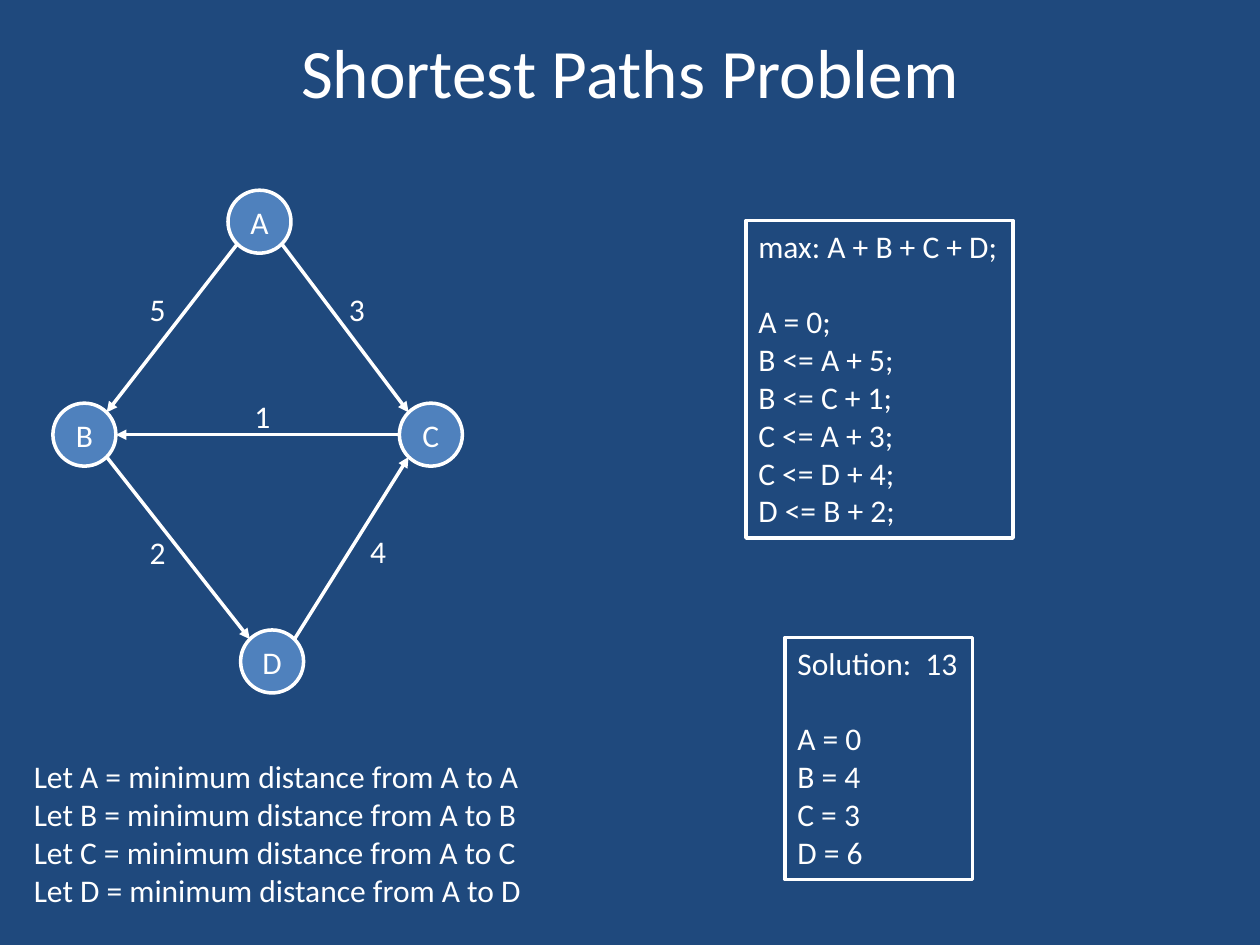
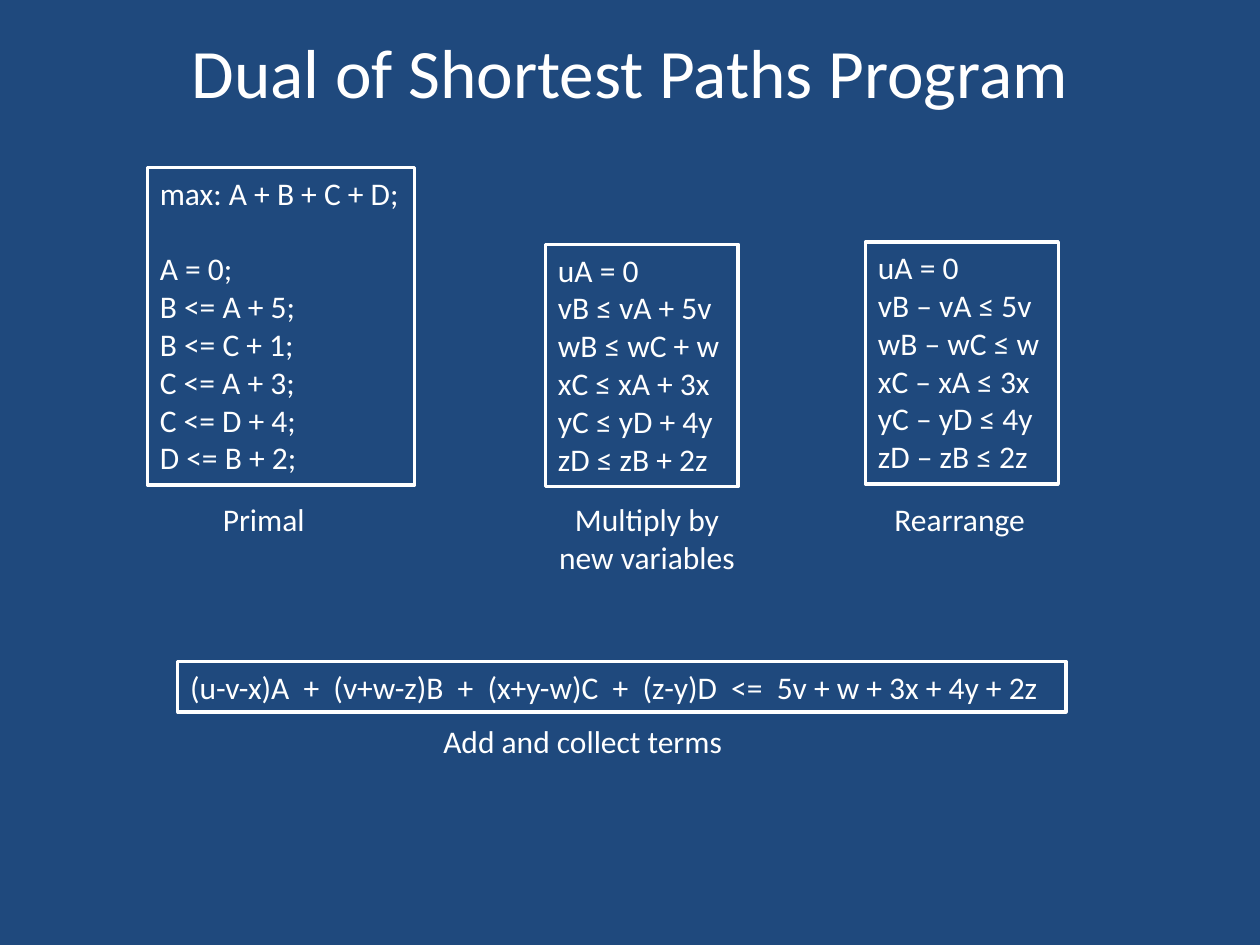
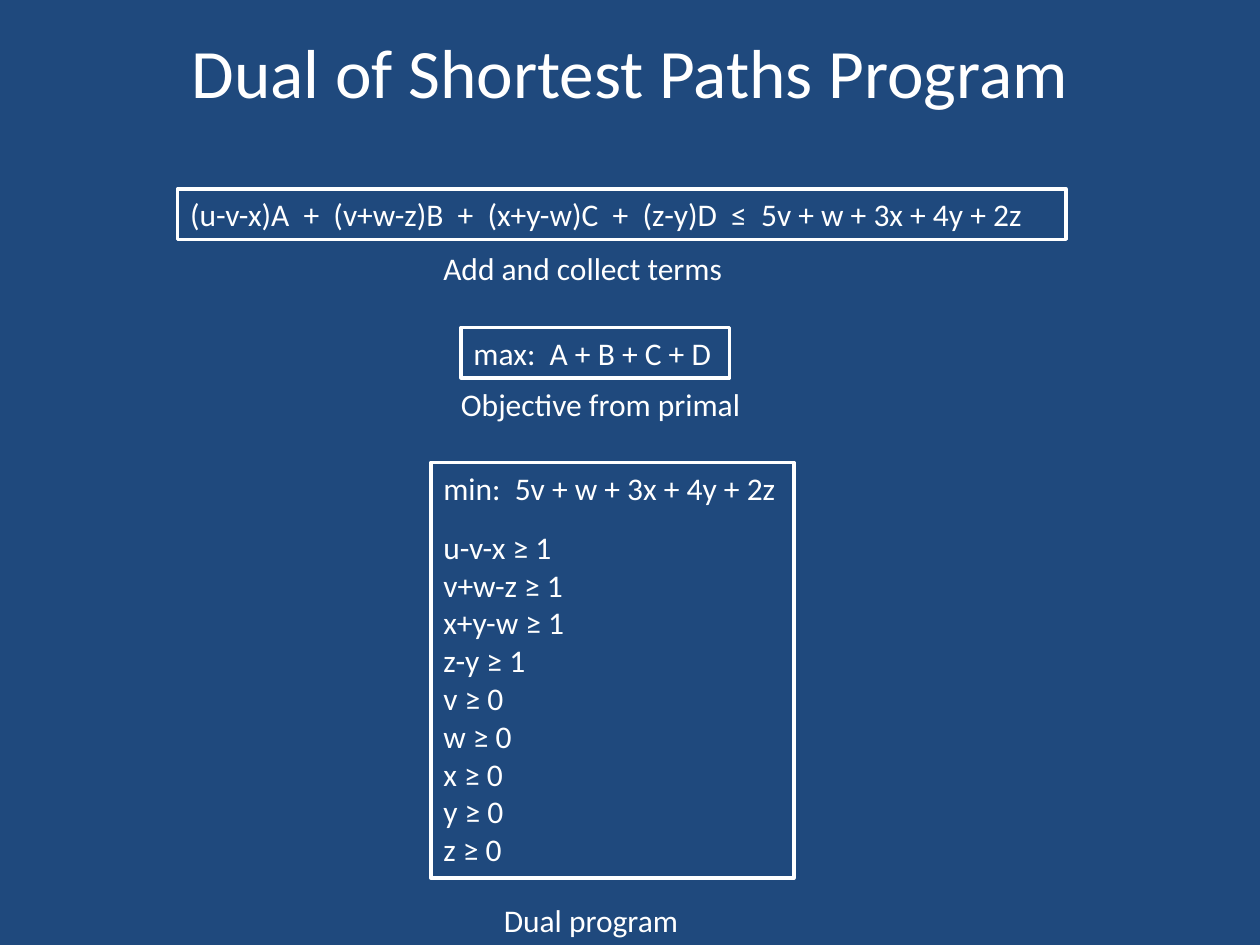
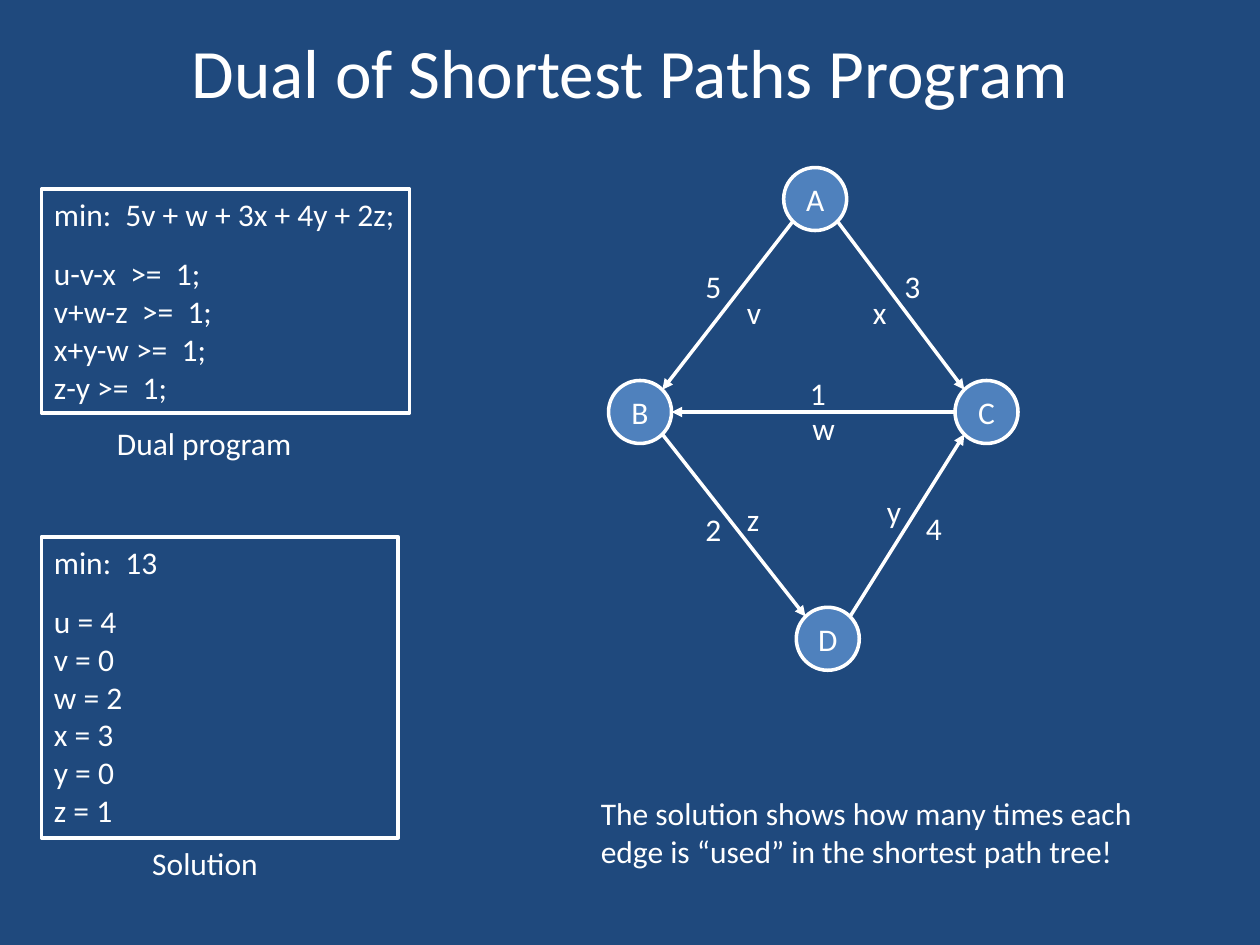
from dataclasses import dataclass
from math import hypot

from lxml import etree
from pptx import Presentation
from pptx.dml.color import RGBColor
from pptx.enum.shapes import MSO_CONNECTOR, MSO_SHAPE
from pptx.enum.text import MSO_ANCHOR, MSO_AUTO_SIZE, PP_ALIGN
from pptx.oxml.ns import qn
from pptx.util import Inches, Pt

LEFT, CENTER = PP_ALIGN.LEFT, PP_ALIGN.CENTER
TOP, MIDDLE = MSO_ANCHOR.TOP, MSO_ANCHOR.MIDDLE
GROW, FIXED = MSO_AUTO_SIZE.SHAPE_TO_FIT_TEXT, MSO_AUTO_SIZE.NONE
RECT, OVAL = MSO_SHAPE.RECTANGLE, MSO_SHAPE.OVAL
STRAIGHT = MSO_CONNECTOR.STRAIGHT


@dataclass(frozen=True)
class Theme:
    """Colours, font and sizes shared by all slides."""
    back: RGBColor = RGBColor(0x1F, 0x49, 0x7D)
    node: RGBColor = RGBColor(0x4F, 0x81, 0xBD)
    ink: RGBColor = RGBColor(0xFF, 0xFF, 0xFF)
    font: str = "Calibri"
    title: float = 39.6
    body: float = 18
    line: float = 2
    wide_gap: float = 21.6
    small_gap: float = 12.2


NODE_SIZE = 0.5
# Node corners, edges and labels, measured from the graph's top left corner.
NODES = {"A": (1.39, 0), "B": (0, 1.69), "C": (2.75, 1.69), "D": (1.49, 3.49)}
EDGES = ["AC", "AB", "BD", "CB", "DC"]
WEIGHTS = {"3": (2.25, 0.74), "1": (1.5, 1.59), "5": (0.67, 0.74),
           "2": (0.67, 2.67), "4": (2.42, 2.66)}
VARIABLES = {"v": (1, 0.95), "x": (2, 0.95), "w": (1.52, 1.87),
             "y": (2.11, 2.53), "z": (1, 2.59)}

PRIMAL = ["max: A + B + C + D;", "A = 0;", "B <= A + 5;", "B <= C + 1;",
          "C <= A + 3;", "C <= D + 4;", "D <= B + 2;"]
SUM = ("(u-v-x)A  +  (v+w-z)B  +  (x+y-w)C  +  (z-y)D  {}  "
       "5v + w + 3x + 4y + 2z")
DUAL_TITLE = "Dual of Shortest Paths Program"


def sign(v):
    """Return -1, 0 or 1."""
    return (v > 0) - (v < 0)


class Deck:
    """Holds the theme and the current slide, and draws on it."""

    def __init__(self, theme):
        """Start a 10 by 7.5 inch presentation on the theme's background."""
        self.theme = theme
        self.prs = Presentation()
        self.prs.slide_width, self.prs.slide_height = Inches(10), Inches(7.5)
        fill = self.prs.slide_master.background.fill
        fill.solid()
        fill.fore_color.rgb = theme.back

    def slide(self, title):
        """Add a blank slide with its title."""
        self.s = self.prs.slides.add_slide(self.prs.slide_layouts[6])
        sp = self.s.shapes.add_textbox(
            Inches(0.5), Inches(0.17), Inches(9), Inches(0.78))
        self.set_text(sp, [title], size=self.theme.title, align=CENTER,
                      anchor=MIDDLE, wrap=True, auto=FIXED)

    def set_text(self, sp, lines, size=None, align=LEFT, anchor=TOP,
                 wrap=False, auto=GROW, gap=0):
        """Fill a shape with paragraphs; gap is the space after the first."""
        tf = sp.text_frame
        tf.word_wrap, tf.auto_size, tf.vertical_anchor = wrap, auto, anchor
        for i, line in enumerate(lines):
            p = tf.add_paragraph() if i else tf.paragraphs[0]
            p.alignment = align
            if i == 1 and gap:
                p.space_before = Pt(gap)
            for j, part in enumerate(line.split("\n")):
                if j:
                    p.add_line_break()
                r = p.add_run()
                r.text = part
                r.font.name = self.theme.font
                r.font.size = Pt(size or self.theme.body)
                r.font.color.rgb = self.theme.ink

    def text(self, x, y, w, lines, h=0.4, **style):
        """Add plain text."""
        sp = self.s.shapes.add_textbox(
            Inches(x), Inches(y), Inches(w), Inches(h))
        self.set_text(sp, lines, **style)

    def outlined(self, kind, x, y, w, h):
        """Add a preset shape with the theme's outline."""
        sp = self.s.shapes.add_shape(
            kind, Inches(x), Inches(y), Inches(w), Inches(h))
        sp.shadow.inherit = False
        sp.fill.background()
        sp.line.color.rgb = self.theme.ink
        sp.line.width = Pt(self.theme.line)
        return sp

    def box(self, x, y, w, h, lines, **style):
        """Add a framed block of formulas."""
        self.set_text(self.outlined(RECT, x, y, w, h), lines, **style)

    def node(self, x, y, name):
        """Add a round graph node."""
        sp = self.outlined(OVAL, x, y, NODE_SIZE, NODE_SIZE)
        sp.fill.solid()
        sp.fill.fore_color.rgb = self.theme.node
        self.set_text(sp, [name], align=CENTER, anchor=MIDDLE, wrap=True,
                      auto=FIXED)

    def arrow(self, x1, y1, x2, y2):
        """Add a line with an arrowhead at its end."""
        c = self.s.shapes.add_connector(
            STRAIGHT, Inches(x1), Inches(y1), Inches(x2), Inches(y2))
        c.line.color.rgb = self.theme.ink
        c.line.width = Pt(self.theme.line)
        sp_pr = c._element.spPr
        etree.SubElement(sp_pr.find(qn("a:ln")), qn("a:tailEnd"),
                         type="triangle")
        etree.SubElement(sp_pr, qn("a:effectLst"))

    def graph(self, x, y, labels):
        """Draw the directed graph with labels beside its edges."""
        for name, (dx, dy) in NODES.items():
            self.node(x + dx, y + dy, name)
        r = NODE_SIZE / 2
        for a, b in EDGES:
            (ax, ay), (bx, by) = NODES[a], NODES[b]
            ux, uy = sign(bx - ax), sign(by - ay)
            # Edges meet the circles straight on or at 45 degrees.
            ox, oy = r * ux / hypot(ux, uy), r * uy / hypot(ux, uy)
            self.arrow(x + ax + r + ox, y + ay + r + oy,
                       x + bx + r - ox, y + by + r - oy)
        for label, (dx, dy) in labels.items():
            self.text(x + dx, y + dy, 0.33, [label])


def problem_slide(d):
    """The graph, its linear program and the solution."""
    d.slide("Shortest Paths Problem")
    d.graph(0.42, 1.51, WEIGHTS)
    d.text(0.17, 5.96, 4.37,
           [f"Let {n} = minimum distance from A to {n}" for n in NODES],
           h=1.31, wrap=True)
    d.box(5.92, 1.75, 2.12, 2.52, PRIMAL, gap=d.theme.wide_gap)
    d.box(6.23, 5.06, 1.49, 1.92,
          ["Solution:  13", "A = 0", "B = 4", "C = 3", "D = 6"],
          gap=d.theme.wide_gap)


def derivation_slide(d):
    """From the primal to the collected inequality."""
    d.slide(DUAL_TITLE)
    d.box(1.17, 1.33, 2.12, 2.52, PRIMAL, gap=d.theme.wide_gap)
    d.box(4.33, 1.94, 1.53, 1.92,
          ["uA = 0", "vB ≤ vA + 5v", "wB ≤ wC + w", "xC ≤ xA + 3x",
           "yC ≤ yD + 4y", "zD ≤ zB + 2z"])
    d.box(6.87, 1.92, 1.53, 1.92,
          ["uA = 0", "vB – vA ≤ 5v", "wB – wC ≤ w", "xC – xA ≤ 3x",
           "yC – yD ≤ 4y", "zD – zB ≤ 2z"])
    d.text(1.67, 3.92, 0.86, ["Primal"])
    d.text(4.33, 3.92, 1.61, ["Multiply by\nnew variables"], h=0.71,
           align=CENTER)
    d.text(7, 3.92, 1.25, ["Rearrange"])
    d.box(1.41, 5.25, 7.05, 0.4, [SUM.format("<=")])
    d.text(3.42, 5.68, 2.44, ["Add and collect terms"])


def dual_slide(d):
    """The dual program read off from the inequality."""
    d.slide(DUAL_TITLE)
    d.box(1.41, 1.5, 7.05, 0.4, [SUM.format("≤")])
    d.text(3.42, 1.93, 2.44, ["Add and collect terms"])
    d.box(3.66, 2.6, 2.13, 0.4, ["max:  A + B + C + D"])
    d.text(3.56, 3.01, 2.44, ["Objective from primal"])
    d.box(3.42, 3.67, 2.88, 3.3,
          ["min:  5v + w + 3x + 4y + 2z", "u-v-x ≥ 1", "v+w-z ≥ 1",
           "x+y-w ≥ 1", "z-y ≥ 1"] + [f"{v} ≥ 0" for v in "vwxyz"],
          gap=d.theme.small_gap)
    d.text(3.9, 7.1, 1.6, ["Dual program"])


def meaning_slide(d):
    """The dual solution shown on the graph."""
    d.slide(DUAL_TITLE)
    d.box(0.33, 1.5, 2.92, 1.78,
          ["min:  5v + w + 3x + 4y + 2z;", "u-v-x  >=  1;",
           "v+w-z  >=  1;", "x+y-w >=  1;", "z-y >=  1;"],
          wrap=True, gap=d.theme.small_gap)
    d.text(0.83, 3.32, 1.6, ["Dual program"])
    d.box(0.33, 4.26, 2.83, 2.39,
          ["min:  13"] + [f"{v} = {n}" for v, n in zip("uvwxyz", "402301")],
          wrap=True, gap=d.theme.small_gap)
    d.text(1.11, 6.65, 1.05, ["Solution"])
    d.graph(4.83, 1.33, {**WEIGHTS, **VARIABLES})
    d.text(4.67, 6.25, 4.47,
           ["The solution shows how many times each\n"
            "edge is “used” in the shortest path tree!"], h=0.71)


deck = Deck(Theme())
for build in (problem_slide, derivation_slide, dual_slide, meaning_slide):
    build(deck)
deck.prs.save("out.pptx")
